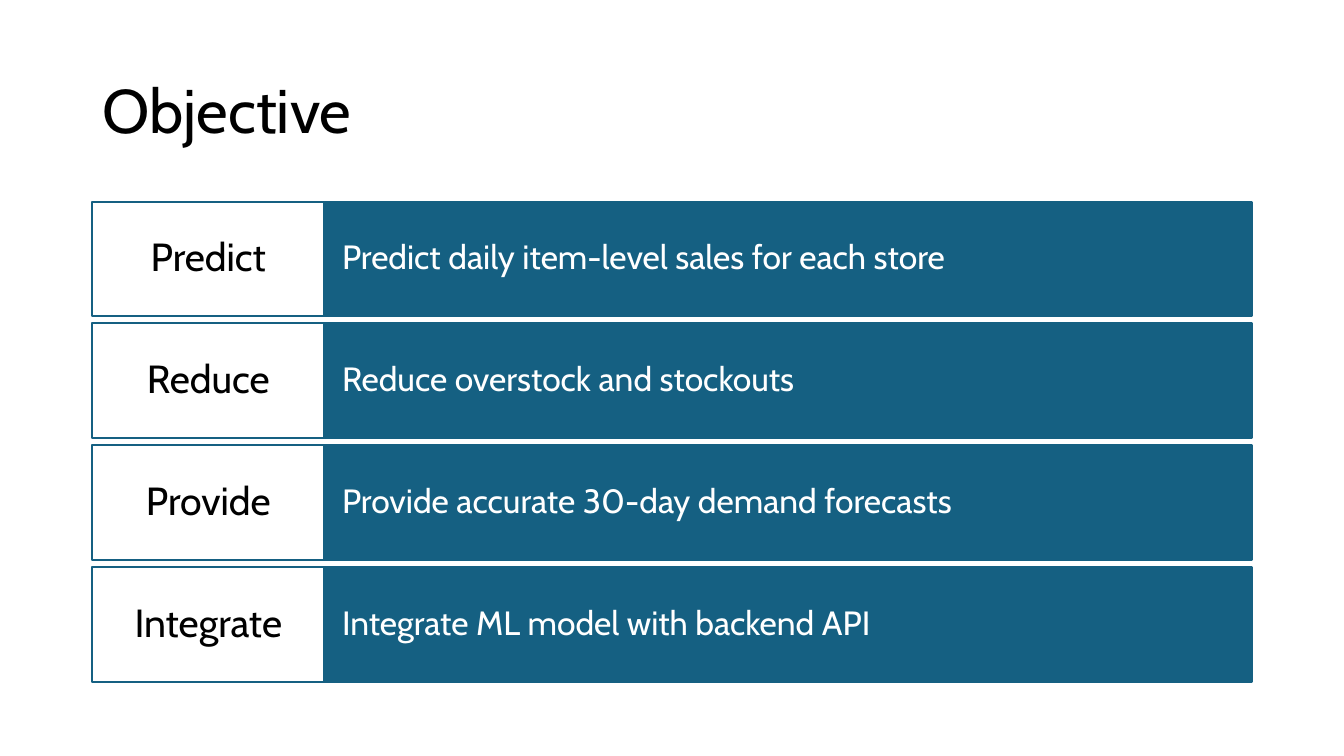
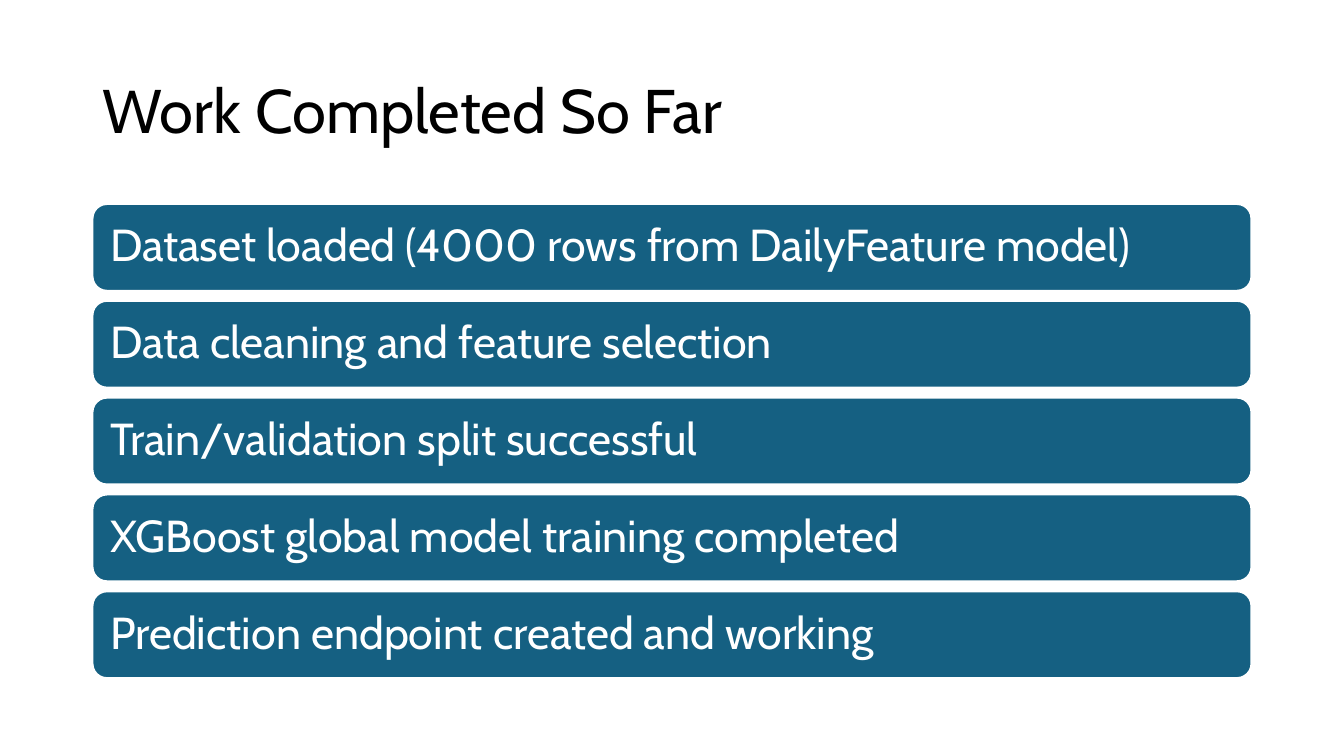
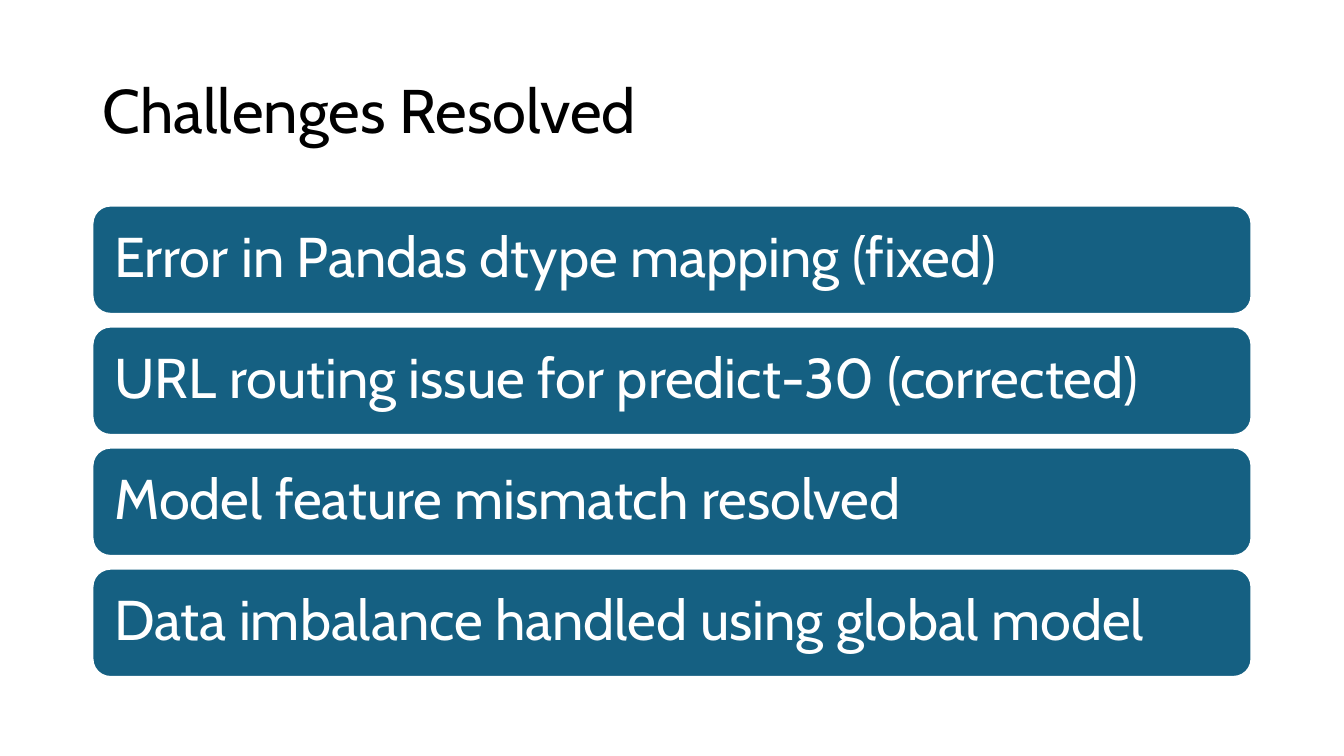
from pptx import Presentation
from pptx.dml.color import RGBColor
from pptx.enum.shapes import MSO_SHAPE
from pptx.enum.text import MSO_ANCHOR, MSO_AUTO_SIZE, PP_ALIGN
from pptx.util import Cm, Pt

# Shared style
BLUE = RGBColor(0x15, 0x60, 0x82)
WHITE = RGBColor(0xFF, 0xFF, 0xFF)
BLACK = RGBColor(0x00, 0x00, 0x00)
FONT = "Cabin"
RECT, ROUNDED = MSO_SHAPE.RECTANGLE, MSO_SHAPE.ROUNDED_RECTANGLE
LEFT, CENTER = PP_ALIGN.LEFT, PP_ALIGN.CENTER
MIDDLE = MSO_ANCHOR.MIDDLE
NO_AUTOFIT = MSO_AUTO_SIZE.NONE
TITLE_ONLY = 5

# Shared grid, in cm
MARGIN, CONTENT_W = 2.33, 29.21
LABEL_W = 5.84

OBJECTIVES = [
    ("Predict", "Predict daily item-level sales for each store"),
    ("Reduce", "Reduce overstock and stockouts"),
    ("Provide", "Provide accurate 30-day demand forecasts"),
    ("Integrate", "Integrate ML model with backend API"),
]
COMPLETED = [
    "Dataset loaded (4000 rows from DailyFeature model)",
    "Data cleaning and feature selection",
    "Train/validation split successful",
    "XGBoost global model training completed",
    "Prediction endpoint created and working",
]
CHALLENGES = [
    "Error in Pandas dtype mapping (fixed)",
    "URL routing issue for predict-30 (corrected)",
    "Model feature mismatch resolved",
    "Data imbalance handled using global model",
]


def write(tf, text, size, color, align=LEFT):
    """Fill a text frame with one vertically centred paragraph."""
    tf.word_wrap = True
    tf.auto_size = NO_AUTOFIT
    tf.vertical_anchor = MIDDLE
    p = tf.paragraphs[0]
    p.alignment = align
    p.line_spacing = 0.9
    r = p.add_run()
    r.text = text
    r.font.name = FONT
    r.font.size = Pt(size)
    r.font.color.rgb = color


def add_slide(prs, title):
    s = prs.slides.add_slide(prs.slide_layouts[TITLE_ONLY])
    sp = s.shapes.title
    sp.left, sp.top = Cm(MARGIN), Cm(1.01)
    sp.width, sp.height = Cm(CONTENT_W), Cm(3.68)
    write(sp.text_frame, title, 44, BLACK)
    return s


def add_box(s, kind, box, fill, line, text, size, color, inset, align=LEFT):
    """Add a filled, outlined shape with text; box and inset are in cm."""
    sp = s.shapes.add_shape(kind, *[Cm(v) for v in box])
    sp.shadow.inherit = False
    sp.fill.solid()
    sp.fill.fore_color.rgb = fill
    sp.line.color.rgb = line
    sp.line.width = Pt(1.5)
    tf = sp.text_frame
    tf.margin_left = tf.margin_right = Cm(inset)
    tf.margin_top = tf.margin_bottom = Cm(0.3)
    write(tf, text, size, color, align)


def add_labelled_rows(s, rows, top, height, pitch):
    """Rows with a white label cell and a blue description band."""
    for i, (label, detail) in enumerate(rows):
        y = top + i * pitch
        add_box(s, RECT, (MARGIN + LABEL_W, y, CONTENT_W - LABEL_W, height),
                BLUE, BLUE, detail, 24, WHITE, 0.45)
        add_box(s, RECT, (MARGIN, y, LABEL_W, height),
                WHITE, BLUE, label, 28, BLACK, 0.3, CENTER)


def add_bars(s, items, top, height, pitch, size, inset):
    """Full-width rounded bars, one per item."""
    for i, text in enumerate(items):
        add_box(s, ROUNDED, (MARGIN, top + i * pitch, CONTENT_W, height),
                BLUE, WHITE, text, size, WHITE, inset)


def main():
    prs = Presentation()
    prs.slide_width, prs.slide_height = Cm(33.87), Cm(19.05)

    # Objective
    s = add_slide(prs, "Objective")
    add_labelled_rows(s, OBJECTIVES, top=5.08, height=2.89, pitch=3.07)

    # Progress
    s = add_slide(prs, "Work Completed So Far")
    add_bars(s, COMPLETED, top=5.14, height=2.19, pitch=2.44, size=32, inset=0.34)

    # Challenges
    s = add_slide(prs, "Challenges Resolved")
    add_bars(s, CHALLENGES, top=5.18, height=2.73, pitch=3.05, size=40, inset=0.42)

    prs.save("out.pptx")


if __name__ == "__main__":
    main()
